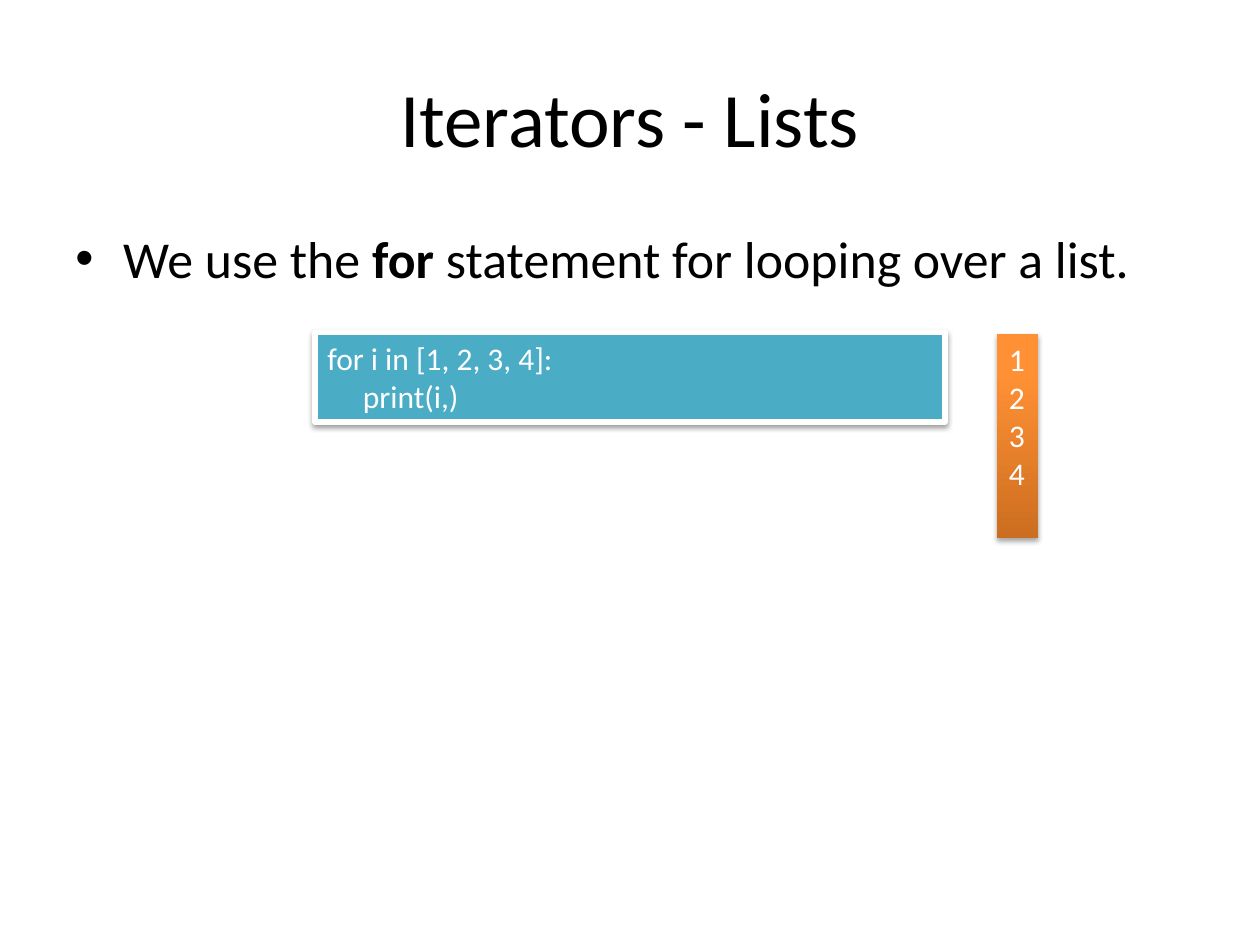
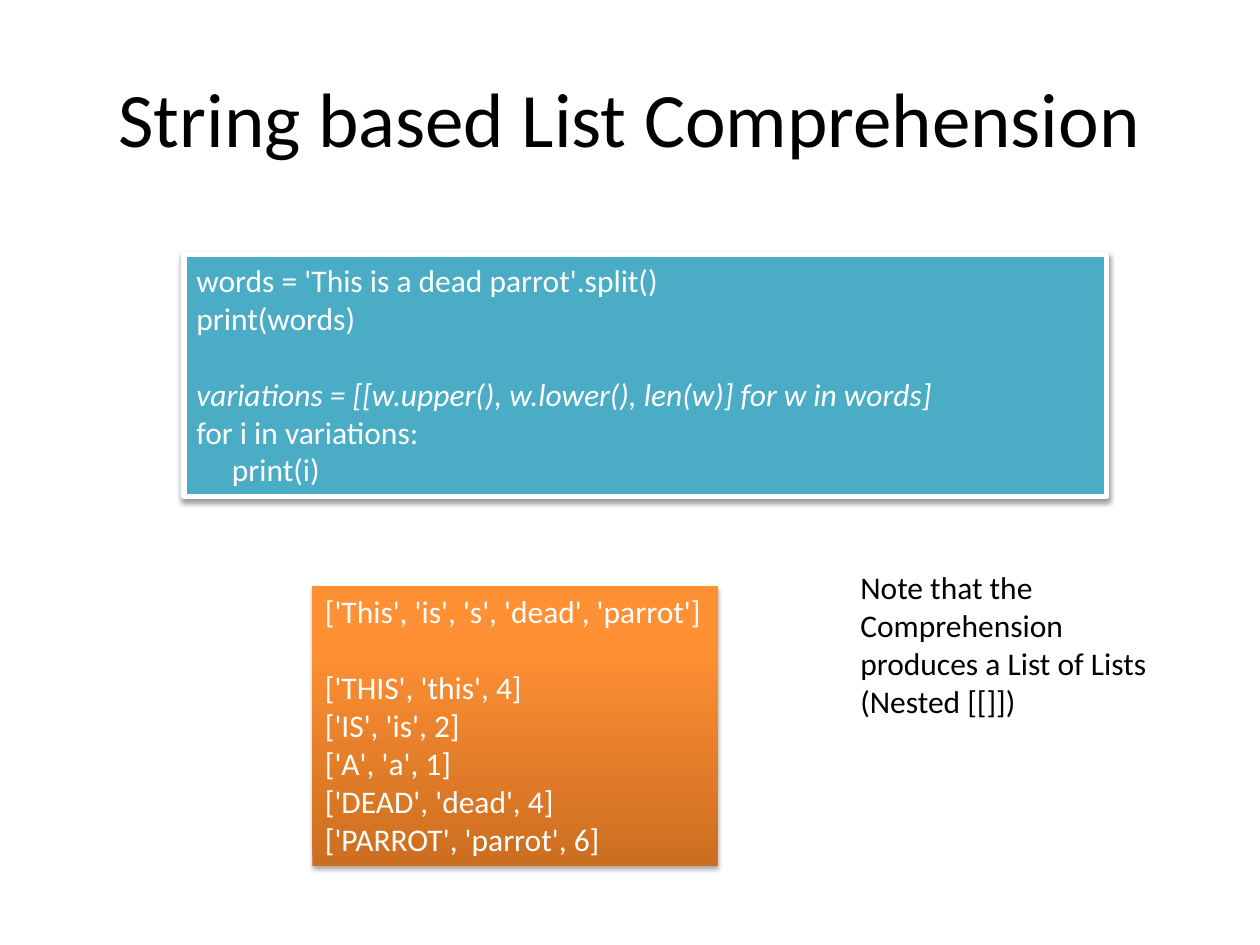
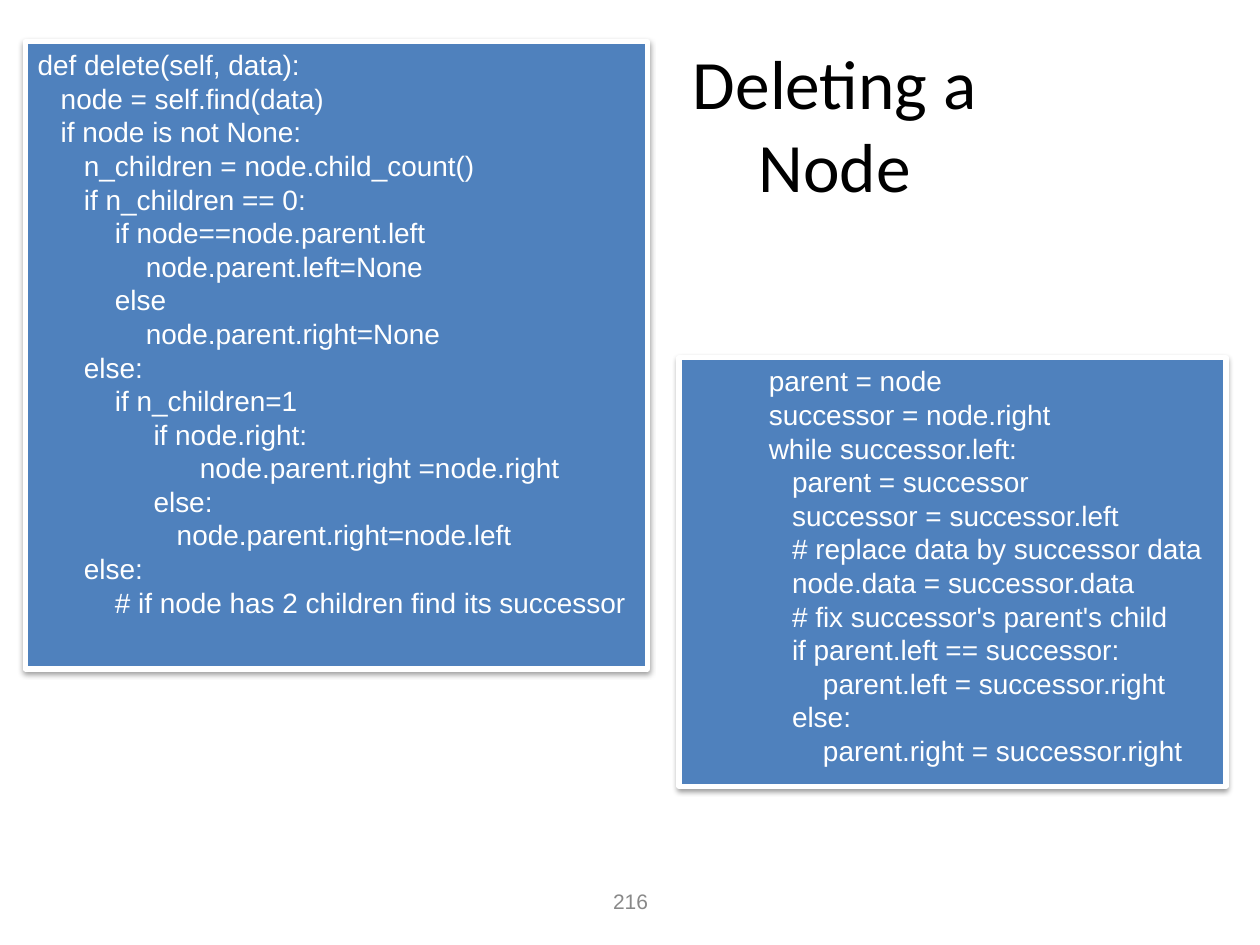
"""Build three slides on Python iteration, list comprehension and node deletion."""
from copy import deepcopy
from dataclasses import dataclass

from lxml.etree import SubElement
from pptx import Presentation
from pptx.dml.color import RGBColor as RGB
from pptx.enum.shapes import MSO_SHAPE
from pptx.enum.text import MSO_ANCHOR as Anchor, PP_ALIGN as Align
from pptx.oxml.ns import qn
from pptx.shapes.autoshape import Shape
from pptx.slide import Slide
from pptx.util import Inches, Pt


@dataclass(frozen=True)
class Theme:
    heading_font: str = "Calibri"
    code_font: str = "Arial"
    ink: RGB = RGB(0x00, 0x00, 0x00)
    white: RGB = RGB(0xFF, 0xFF, 0xFF)
    teal: RGB = RGB(0x4B, 0xAC, 0xC6)
    blue: RGB = RGB(0x4F, 0x81, 0xBD)
    grey: RGB = RGB(0x89, 0x89, 0x89)
    orange_stops: tuple = (
        (0, RGB(0xCC, 0x6E, 0x20)),
        (0.8, RGB(0xFF, 0x90, 0x34)),
        (1, RGB(0xFF, 0x91, 0x36)),
    )
    title_size: float = 44
    small_title_size: float = 39.6
    body_size: float = 29.6
    text_size: float = 18
    code_size: float = 16
    number_size: float = 12
    line_height: float = 1.22
    border: float = 3


THEME = Theme()


@dataclass(frozen=True)
class Box:
    left: float
    top: float
    width: float
    height: float

    def lengths(self) -> tuple:
        return tuple(Inches(n) for n in (self.left, self.top, self.width, self.height))


@dataclass(frozen=True)
class TextStyle:
    size: float
    font: str = THEME.heading_font
    color: RGB = THEME.ink
    align: Align = Align.LEFT
    anchor: Anchor = Anchor.TOP


@dataclass(frozen=True)
class CodePanel:
    box: Box
    code: str
    fill: RGB
    style: TextStyle
    italic_start: str = ""


@dataclass(frozen=True)
class OutputPanel:
    box: Box
    output: str


TITLE_BOX = Box(0.5, 0.3, 9, 1.25)
TITLE = TextStyle(THEME.title_size, align=Align.CENTER, anchor=Anchor.MIDDLE)
SMALL_TITLE = TextStyle(THEME.small_title_size, align=Align.CENTER, anchor=Anchor.MIDDLE)
NOTE = TextStyle(THEME.text_size)
PANEL_TEXT = TextStyle(THEME.text_size, color=THEME.white)
PANEL_CODE = TextStyle(THEME.code_size, THEME.code_font, THEME.white)
NUMBER = TextStyle(THEME.number_size, THEME.code_font, THEME.grey, Align.CENTER, Anchor.MIDDLE)

LOOP_CODE = """for i in [1, 2, 3, 4]:
     print(i,)"""

COMPREHENSION_CODE = """words = 'This is a dead parrot'.split()
print(words)

variations = [[w.upper(), w.lower(), len(w)] for w in words]
for i in variations:
     print(i)"""

COMPREHENSION_OUTPUT = """['This', 'is', 's', 'dead', 'parrot']

['THIS', 'this', 4]
['IS', 'is', 2]
['A', 'a', 1]
['DEAD', 'dead', 4]
['PARROT', 'parrot', 6]"""

DELETE_CODE = """def delete(self, data):
   node = self.find(data)
   if node is not None:
      n_children = node.child_count()
      if n_children == 0:
          if node==node.parent.left
              node.parent.left=None
          else
              node.parent.right=None
      else:
          if n_children=1
               if node.right:
                     node.parent.right =node.right
               else:
                  node.parent.right=node.left
      else:
          # if node has 2 children find its successor"""

SUCCESSOR_CODE = """          parent = node
          successor = node.right
          while successor.left:
             parent = successor
             successor = successor.left
             # replace data by successor data
             node.data = successor.data
             # fix successor's parent's child
             if parent.left == successor:
                 parent.left = successor.right
             else:
                 parent.right = successor.right"""


def write_lines(shape: Shape, text: str, style: TextStyle, wrap: bool = True) -> None:
    """Write one paragraph per line, turning an empty line into space before the next."""
    frame = shape.text_frame
    frame.word_wrap = wrap
    frame.vertical_anchor = style.anchor
    paragraph = None
    gap = 0
    for line in text.split("\n"):
        if not line:
            gap = style.size * THEME.line_height
            continue
        paragraph = frame.add_paragraph() if paragraph else frame.paragraphs[0]
        paragraph.text = line
        paragraph.alignment = style.align
        if gap:
            paragraph.space_before = Pt(gap)
        gap = 0
        paragraph_font(paragraph.runs[0].font, style)


def paragraph_font(font, style: TextStyle) -> None:
    """Apply a text style to a font."""
    font.name = style.font
    font.size = Pt(style.size)
    font.color.rgb = style.color


def add_text(slide: Slide, box: Box, text: str, style: TextStyle) -> None:
    """Add a wrapped text box."""
    write_lines(slide.shapes.add_textbox(*box.lengths()), text, style)


def add_bullet(slide: Slide, box: Box, parts: tuple[str, ...], bold: str) -> None:
    """Add a bulleted sentence in which one part is bold."""
    frame = slide.shapes.add_textbox(*box.lengths()).text_frame
    frame.word_wrap = True
    paragraph = frame.paragraphs[0]
    properties = paragraph._p.get_or_add_pPr()
    properties.set("marL", str(Inches(0.38)))
    properties.set("indent", str(-Inches(0.38)))
    SubElement(properties, qn("a:buFont"), typeface=THEME.code_font)
    SubElement(properties, qn("a:buChar"), char="•")
    for part in parts:
        run = paragraph.add_run()
        run.text = part
        paragraph_font(run.font, TextStyle(THEME.body_size))
        run.font.bold = part == bold


def add_shadowed_rectangle(slide: Slide, box: Box, distance: float, opacity: int) -> Shape:
    """Add a rectangle with a soft shadow straight below it."""
    shape = slide.shapes.add_shape(MSO_SHAPE.RECTANGLE, *box.lengths())
    shape.shadow.inherit = False
    effects = shape._element.spPr.find(qn("a:effectLst"))
    shadow = SubElement(effects, qn("a:outerShdw"), blurRad=str(Pt(3.1)),
                        dist=str(Pt(distance)), dir="5400000", rotWithShape="0")
    color = SubElement(shadow, qn("a:srgbClr"), val=str(THEME.ink))
    SubElement(color, qn("a:alpha"), val=str(opacity * 1000))
    return shape


def add_code(slide: Slide, panel: CodePanel) -> None:
    """Add a white-bordered code panel."""
    shape = add_shadowed_rectangle(slide, panel.box, 1.6, 38)
    shape.fill.solid()
    shape.fill.fore_color.rgb = panel.fill
    shape.line.color.rgb = THEME.white
    shape.line.width = Pt(THEME.border)
    write_lines(shape, panel.code, panel.style)
    for paragraph in shape.text_frame.paragraphs:
        if panel.italic_start and paragraph.text.startswith(panel.italic_start):
            paragraph.runs[0].font.italic = True


def add_output(slide: Slide, panel: OutputPanel) -> None:
    """Add an orange gradient panel with program output."""
    shape = add_shadowed_rectangle(slide, panel.box, 1.8, 35)
    shape.line.fill.background()
    shape.fill.gradient()
    shape.fill.gradient_angle = 90
    stops = shape._element.spPr.find(qn("a:gradFill")).find(qn("a:gsLst"))
    stops.append(deepcopy(stops[-1]))
    for stop, (position, color) in zip(shape.fill.gradient_stops, THEME.orange_stops):
        stop.position = position
        stop.color.rgb = color
    write_lines(shape, panel.output, PANEL_TEXT, wrap=False)


def build_lists(slide: Slide) -> None:
    """Show a loop over a list."""
    add_text(slide, TITLE_BOX, "Iterators - Lists", TITLE)
    add_bullet(slide, Box(0.5, 1.75, 9, 0.5),
               ("We use the ", "for", " statement for looping over a list."), "for")
    add_code(slide, CodePanel(Box(2.5, 2.64, 5, 0.71), LOOP_CODE, THEME.teal, PANEL_TEXT))
    add_output(slide, OutputPanel(Box(7.91, 2.65, 0.33, 1.62), "1\n2\n3\n4"))


def build_comprehension(slide: Slide) -> None:
    """Show a list comprehension over words."""
    add_text(slide, TITLE_BOX, "String based List Comprehension", TITLE)
    add_code(slide, CodePanel(Box(1.46, 2.02, 7.32, 1.92), COMPREHENSION_CODE,
                              THEME.teal, PANEL_TEXT, "variations"))
    add_text(slide, Box(6.73, 4.46, 2.68, 1.31),
             "Note that the Comprehension produces a List of Lists\n(Nested [[]])", NOTE)
    add_output(slide, OutputPanel(Box(2.48, 4.65, 3.22, 2.22), COMPREHENSION_OUTPUT))


def build_deletion(slide: Slide) -> None:
    """Show the code that deletes a tree node."""
    add_text(slide, Box(5, 0.35, 3.25, 1.25), "Deleting a Node", SMALL_TITLE)
    add_text(slide, Box(3.42, 6.95, 3.17, 0.4), "216", NUMBER)
    for box, code in ((Box(0.2, 0.33, 4.94, 4.98), DELETE_CODE),
                      (Box(5.39, 2.84, 4.34, 3.4), SUCCESSOR_CODE)):
        add_code(slide, CodePanel(box, code, THEME.blue, PANEL_CODE))


def main() -> None:
    """Build and save the presentation."""
    presentation = Presentation()
    presentation.slide_width = Inches(10)
    presentation.slide_height = Inches(7.5)
    for build in (build_lists, build_comprehension, build_deletion):
        build(presentation.slides.add_slide(presentation.slide_layouts[6]))
    presentation.save("out.pptx")


if __name__ == "__main__":
    main()
